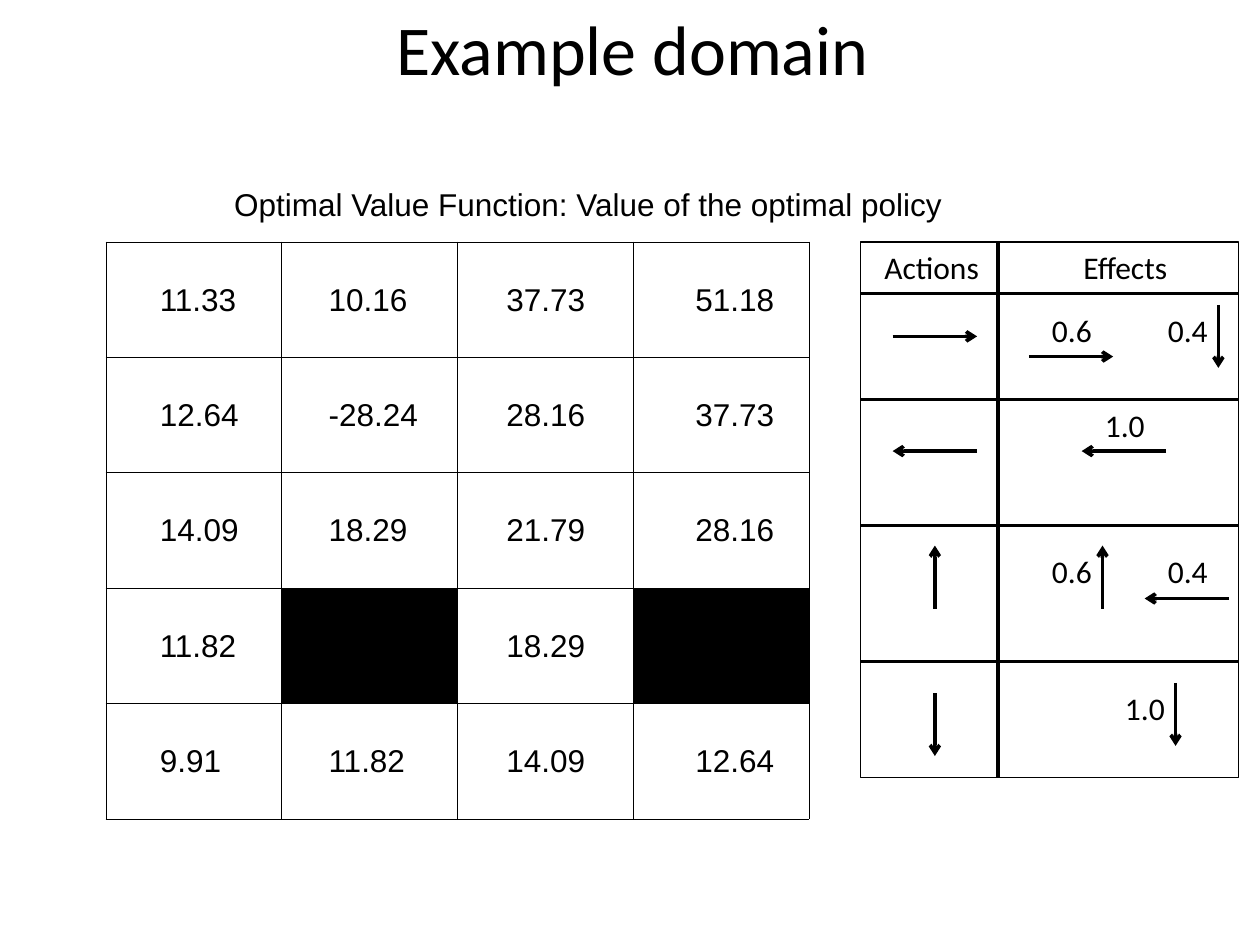
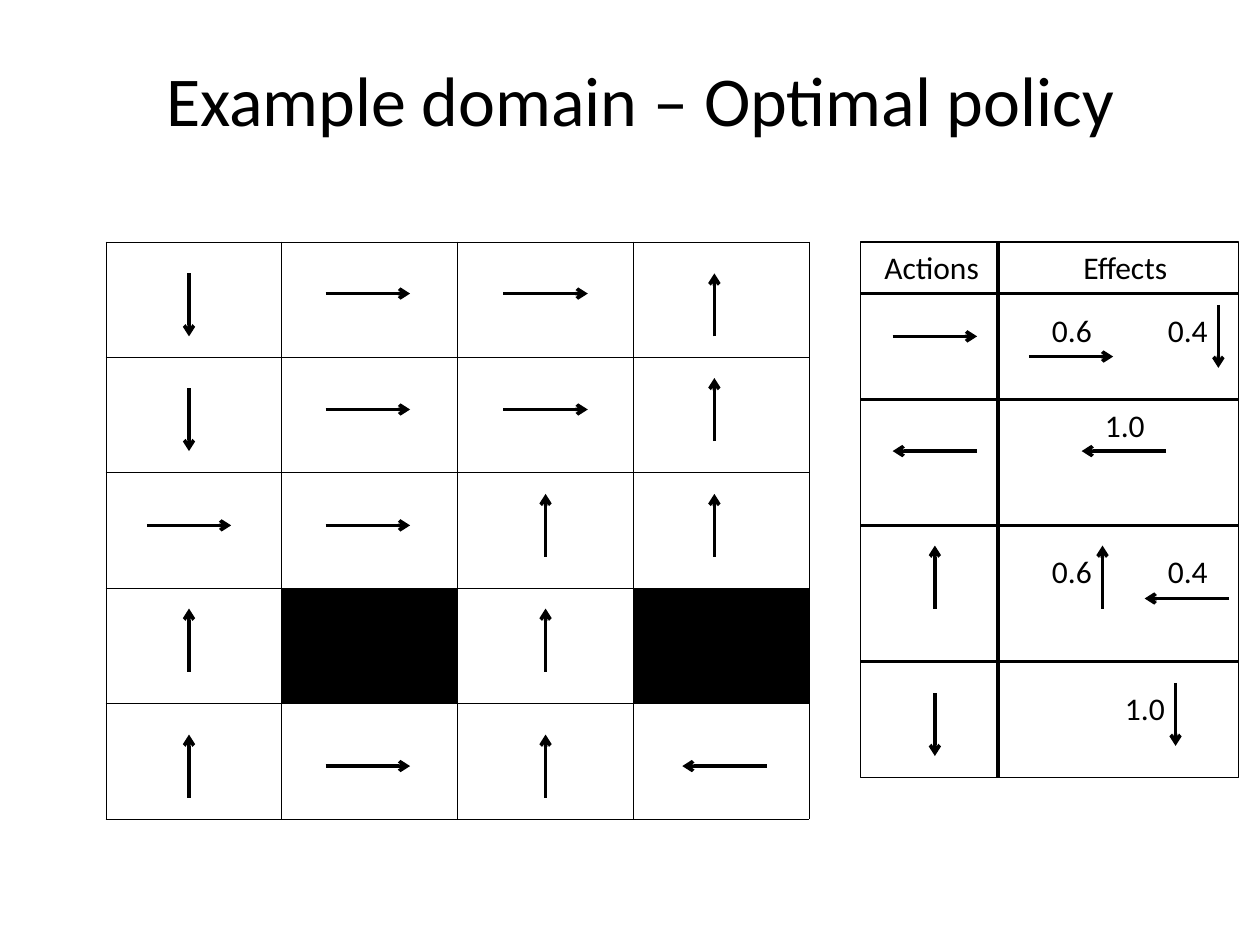
from dataclasses import dataclass

from lxml.etree import SubElement
from pptx import Presentation
from pptx.dml.color import RGBColor
from pptx.enum.shapes import MSO_CONNECTOR, MSO_SHAPE
from pptx.enum.text import MSO_ANCHOR, MSO_AUTO_SIZE, PP_ALIGN
from pptx.oxml.ns import qn
from pptx.util import Inches, Pt


@dataclass(frozen=True)
class Theme:
    ink: RGBColor = RGBColor(0, 0, 0)
    heading_font: str = "Calibri"
    value_font: str = "Arial"
    title_size: int = 40
    body_size: int = 18
    rule_width: float = 2
    frame_width: float = 0.75
    cell_width: float = 0.45


THEME = Theme()

# Content
CAPTION = "Optimal Value Function: Value of the optimal policy"
WALL = None
VALUES = [
    ("11.33", "10.16", "37.73", "51.18"),
    ("12.64", "-28.24", "28.16", "37.73"),
    ("14.09", "18.29", "21.79", "28.16"),
    ("11.82", WALL, "18.29", WALL),
    ("9.91", "11.82", "14.09", "12.64"),
]
POLICY = [
    ("down", "right", "right", "up"),
    ("down", "right", "right", "up"),
    ("right", "right", "up", "up"),
    ("up", WALL, "up", WALL),
    ("up", "right", "up", "left"),
]
# Arrows of the actions panel: direction, centre x, centre y
ACTIONS = [("right", 7.42, 2.67), ("left", 7.42, 3.58),
           ("up", 7.42, 4.58), ("down", 7.42, 5.75)]
EFFECTS = [("right", 8.5, 2.83), ("down", 9.67, 2.67), ("left", 8.92, 3.58),
           ("up", 8.75, 4.58), ("left", 9.42, 4.75), ("down", 9.33, 5.67)]
# Probability, left, top
PROBABILITIES = [("0.6", 8.25, 2.42), ("0.4", 9.17, 2.42), ("1.0", 8.67, 3.17),
                 ("0.6", 8.25, 4.33), ("0.4", 9.17, 4.33), ("1.0", 8.83, 5.42)]
# Heading, left, width
PANEL_HEADINGS = [("Actions", 6.92, 0.95), ("Effects", 8.5, 0.88)]

# Layout, in inches
SLIDE_WIDTH, SLIDE_HEIGHT = 10, 7.5
TITLE_WIDTH, TITLE_HEIGHT = 9, 1.25
CONTENT_TOP = 1.92
GRID_LEFT, GRID_WIDTH, GRID_HEIGHT = 0.84, 5.58, 4.58
ROW_HEIGHT = GRID_HEIGHT / len(VALUES)
VALUE_LEFTS = (1.17, 2.51, 3.92, 5.42)
VALUE_WIDTHS = {4: 0.7, 5: 0.84, 6: 0.93}  # by number of characters
TEXT_HEIGHT = 0.4
PANEL_LEFT, PANEL_WIDTH, PANEL_HEIGHT = 6.83, 3, 4.25
PANEL_DIVIDER = 7.92
PANEL_ROWS = (2.33, 3.17, 4.17, 5.25)

ARROW_VECTORS = {"right": (0.67, 0), "left": (-0.67, 0),
                 "up": (0, -0.5), "down": (0, 0.5)}
HORIZONTAL_COLUMNS = (1.5, 2.92, 4.33, 5.75)
VERTICAL_COLUMNS = (1.5, 2.92, 4.33, 5.67)
HORIZONTAL_ROWS = (2.33, 3.25, 4.17, 5.08, 6.08)
UP_ROWS = (2.42, 3.25, 4.17, 5.08, 6.08)
DOWN_ROWS = (2.42, 3.33, 4.25, 5.17, 6.08)
ARROW_CENTRES = {
    "right": (HORIZONTAL_COLUMNS, HORIZONTAL_ROWS),
    "left": (HORIZONTAL_COLUMNS, HORIZONTAL_ROWS),
    "up": (VERTICAL_COLUMNS, UP_ROWS),
    "down": (VERTICAL_COLUMNS, DOWN_ROWS),
}


def box(*lengths):
    return [Inches(length) for length in lengths]


def style(paragraph, font_name, size):
    paragraph.font.name = font_name
    paragraph.font.size = Pt(size)
    paragraph.font.color.rgb = THEME.ink


def add_titled_slide(presentation, text, left, top, anchor, inset):
    slide = presentation.slides.add_slide(presentation.slide_layouts[5])
    title = slide.shapes.title
    title.left, title.top, title.width, title.height = box(
        left, top, TITLE_WIDTH, TITLE_HEIGHT)
    frame = title.text_frame
    frame.text = text
    frame.auto_size = MSO_AUTO_SIZE.NONE
    frame.vertical_anchor = anchor
    frame.margin_top = frame.margin_bottom = Inches(inset)
    frame.paragraphs[0].alignment = PP_ALIGN.CENTER
    style(frame.paragraphs[0], THEME.heading_font, THEME.title_size)
    return slide


def add_label(slide, text, left, top, width, font_name, wrap=False):
    label = slide.shapes.add_textbox(*box(left, top, width, TEXT_HEIGHT))
    frame = label.text_frame
    frame.word_wrap = wrap
    frame.auto_size = MSO_AUTO_SIZE.SHAPE_TO_FIT_TEXT
    frame.text = text
    style(frame.paragraphs[0], font_name, THEME.body_size)


def add_line(slide, start_x, start_y, end_x, end_y):
    line = slide.shapes.add_connector(
        MSO_CONNECTOR.STRAIGHT, *box(start_x, start_y, end_x, end_y))
    line.line.color.rgb = THEME.ink
    line.line.width = Pt(THEME.rule_width)
    SubElement(line._element.spPr, qn("a:effectLst"))
    return line


def add_arrow(slide, direction, x, y):
    """Draw an arrow centred on (x, y)."""
    dx, dy = ARROW_VECTORS[direction]
    arrow = add_line(slide, x - dx / 2, y - dy / 2, x + dx / 2, y + dy / 2)
    SubElement(arrow.line._get_or_add_ln(), qn("a:tailEnd"), type="arrow")


def add_cell_borders(cell):
    properties = cell._tc.get_or_add_tcPr()
    for side in ("lnL", "lnR", "lnT", "lnB"):
        border = SubElement(properties, qn(f"a:{side}"), w=str(Pt(THEME.cell_width)))
        fill = SubElement(border, qn("a:solidFill"))
        SubElement(fill, qn("a:srgbClr"), val=str(THEME.ink))


def add_grid(slide):
    table = slide.shapes.add_table(
        len(VALUES), len(VALUES[0]),
        *box(GRID_LEFT, CONTENT_TOP, GRID_WIDTH, GRID_HEIGHT)).table
    table.first_row = table.horz_banding = False
    for row, values in enumerate(VALUES):
        for column, value in enumerate(values):
            cell = table.cell(row, column)
            add_cell_borders(cell)
            if value is WALL:
                cell.fill.solid()
                cell.fill.fore_color.rgb = THEME.ink
            else:
                cell.fill.background()


def add_actions_panel(slide):
    for arrow in ACTIONS + EFFECTS:
        add_arrow(slide, *arrow)
    for text, left, top in PROBABILITIES:
        add_label(slide, text, left, top, 0.58, THEME.heading_font, wrap=True)
    for text, left, width in PANEL_HEADINGS:
        add_label(slide, text, left, CONTENT_TOP, width, THEME.heading_font)
    frame = slide.shapes.add_shape(
        MSO_SHAPE.RECTANGLE,
        *box(PANEL_LEFT, CONTENT_TOP, PANEL_WIDTH, PANEL_HEIGHT))
    frame.shadow.inherit = False
    frame.fill.background()
    frame.line.color.rgb = THEME.ink
    frame.line.width = Pt(THEME.frame_width)
    add_line(slide, PANEL_DIVIDER, CONTENT_TOP,
             PANEL_DIVIDER, CONTENT_TOP + PANEL_HEIGHT)
    for y in PANEL_ROWS:
        add_line(slide, PANEL_LEFT, y, PANEL_LEFT + PANEL_WIDTH, y)


def add_values(slide):
    add_label(slide, CAPTION, 1.76, 1.42, 5.86, THEME.value_font)
    for row, values in enumerate(VALUES):
        top = CONTENT_TOP + 0.25 + row * ROW_HEIGHT
        for left, value in zip(VALUE_LEFTS, values):
            if value is not WALL:
                add_label(slide, value, left, top, VALUE_WIDTHS[len(value)],
                          THEME.value_font)


def add_policy(slide):
    for row, directions in enumerate(POLICY):
        for column, direction in enumerate(directions):
            if direction is not WALL:
                columns, rows = ARROW_CENTRES[direction]
                add_arrow(slide, direction, columns[column], rows[row])


def main():
    presentation = Presentation()
    presentation.slide_width, presentation.slide_height = box(SLIDE_WIDTH, SLIDE_HEIGHT)
    slides = [
        ("Example domain", 0.52, 0.04, MSO_ANCHOR.TOP, 0, add_values),
        ("Example domain – Optimal policy", 0.58, 0.16, MSO_ANCHOR.MIDDLE, 0.05,
         add_policy),
    ]
    for *title_settings, add_grid_content in slides:
        slide = add_titled_slide(presentation, *title_settings)
        add_grid(slide)
        add_actions_panel(slide)
        add_grid_content(slide)
    presentation.save("out.pptx")


if __name__ == "__main__":
    main()
